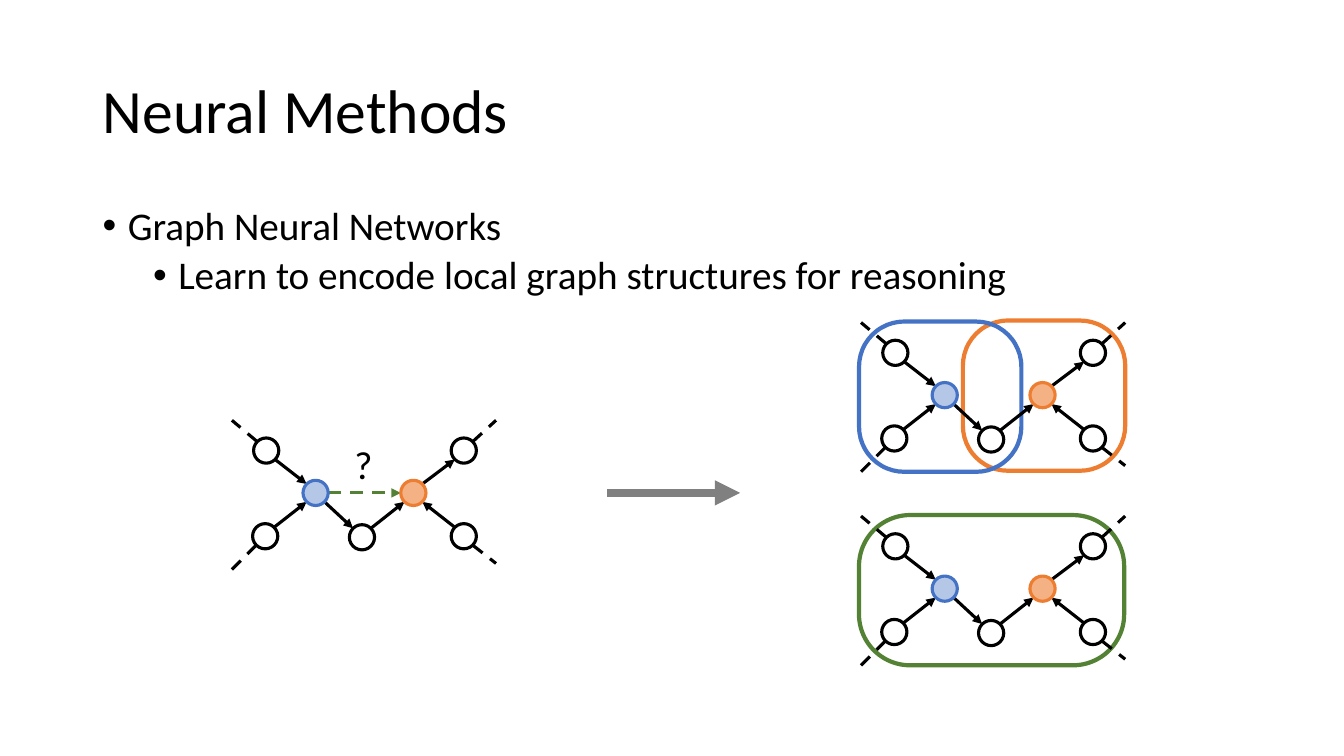
"""Build a slide on graph neural networks with three small graph diagrams."""
import math

import pptx
import pptx.dml.color
import pptx.enum.dml
import pptx.enum.shapes
import pptx.enum.text
import pptx.oxml.ns
import pptx.util
from lxml import etree

Inches = pptx.util.Inches
SHAPES = pptx.enum.shapes.MSO_SHAPE
ALIGN = pptx.enum.text.PP_ALIGN
ANCHOR = pptx.enum.text.MSO_ANCHOR

BLACK, WHITE, GREY = "000000", "FFFFFF", "808080"
BLUE, ORANGE, GREEN = "4472C4", "ED7D31", "548235"
PALE_BLUE, PALE_ORANGE = "B4C7E7", "F4B183"

RADIUS = 0.125
NODES = {
    "upper left": (-0.49, -0.42, WHITE, BLACK),
    "lower left": (-0.5, 0.43, WHITE, BLACK),
    "middle": (0.46, 0.44, WHITE, BLACK),
    "upper right": (1.47, -0.42, WHITE, BLACK),
    "lower right": (1.47, 0.43, WHITE, BLACK),
    "head": (0, 0, PALE_BLUE, BLUE),
    "tail": (0.97, 0, PALE_ORANGE, ORANGE),
}
EDGES = [
    ("upper left", "head"),
    ("lower left", "head"),
    ("head", "middle"),
    ("middle", "tail"),
    ("tail", "upper right"),
    ("lower right", "tail"),
]
LOOSE_ENDS = {
    "upper left": (-0.83, -0.72),
    "lower left": (-0.83, 0.76),
    "upper right": (1.79, -0.72),
    "lower right": (1.79, 0.7),
}


def color(hex_string):
    """Turn a hex string into a colour."""
    return pptx.dml.color.RGBColor.from_string(hex_string)


def rim_offset(start, end):
    """Return the offset from a node's centre to its rim in one of eight directions."""
    signs = [(b > a) - (b < a) for a, b in zip(start, end)]
    length = math.hypot(*signs)
    return [RADIUS * sign / length for sign in signs]


class GraphSlide:
    """Hold the text style and the slide, and draw each kind of element."""

    font = "Calibri"
    graph_line = 2.25

    def __init__(self, slide):
        """Keep the slide to draw on."""
        self.slide = slide

    def text(self, box, lines, size, anchor=ANCHOR.TOP, align=ALIGN.LEFT, spacing=1.0):
        """Add a wrapped text box and return its paragraphs."""
        frame = self.slide.shapes.add_textbox(*map(Inches, box)).text_frame
        frame.word_wrap = True
        frame.vertical_anchor = anchor
        frame.text = "\n".join(lines)
        for paragraph in frame.paragraphs:
            paragraph.alignment = align
            paragraph.line_spacing = spacing
            font = paragraph.runs[0].font
            font.name = self.font
            font.size = pptx.util.Pt(size)
            font.color.rgb = color(BLACK)
        return frame.paragraphs

    def bullets(self, box, lines, size):
        """Add a bulleted list whose lines each sit one level deeper."""
        for level, paragraph in enumerate(self.text(box, lines, size, spacing=0.9)):
            paragraph.level = level
            paragraph.space_before = pptx.util.Pt(5 if level else 10)
            properties = paragraph._p.get_or_add_pPr()
            properties.set("marL", str(Inches(0.25 + 0.5 * level)))
            properties.set("indent", str(Inches(-0.25)))
            ns = pptx.oxml.ns.qn
            etree.SubElement(properties, ns("a:buFont")).set("typeface", "Arial")
            etree.SubElement(properties, ns("a:buChar")).set("char", "•")

    def outline(self, kind, box, line, width, fill=None):
        """Add a preset shape with a coloured outline."""
        shape = self.slide.shapes.add_shape(kind, *map(Inches, box))
        shape.shadow.inherit = False
        if fill:
            shape.fill.solid()
            shape.fill.fore_color.rgb = color(fill)
        else:
            shape.fill.background()
        shape.line.color.rgb = color(line)
        shape.line.width = pptx.util.Pt(width)
        return shape

    def frame(self, box, line, rounding):
        """Add a rounded frame around a neighbourhood."""
        self.outline(SHAPES.ROUNDED_RECTANGLE, box, line, 3).adjustments[0] = rounding

    def line(self, start, end, line=BLACK, width=graph_line, dashed=False, arrow=True):
        """Add a straight line, dashed or with an arrowhead if asked."""
        connector = self.slide.shapes.add_connector(
            pptx.enum.shapes.MSO_CONNECTOR.STRAIGHT, *map(Inches, (*start, *end)))
        connector.line.color.rgb = color(line)
        connector.line.width = pptx.util.Pt(width)
        if dashed:
            connector.line.dash_style = pptx.enum.dml.MSO_LINE.DASH
        ns = pptx.oxml.ns.qn
        if arrow:
            outline = connector.line._get_or_add_ln()
            etree.SubElement(outline, ns("a:tailEnd")).set("type", "triangle")
        etree.SubElement(connector._element.spPr, ns("a:effectLst"))

    def edge(self, start, end, **style):
        """Add an arrow from the rim of one node to the rim of another."""
        offset = rim_offset(start, end)
        self.line([a + d for a, d in zip(start, offset)],
                  [b - d for b, d in zip(end, offset)], **style)

    def graph(self, left, top, query=False):
        """Add a graph whose head node is centred on the given point."""
        centres = {name: (left + x, top + y) for name, (x, y, *_) in NODES.items()}
        for start, end in EDGES:
            self.edge(centres[start], centres[end])
        if query:
            self.edge(centres["head"], centres["tail"], line=GREEN, dashed=True)
        for name, (x, y) in LOOSE_ENDS.items():
            centre, end = centres[name], (left + x, top + y)
            rim = [a + d for a, d in zip(centre, rim_offset(centre, end))]
            if x < 0 < y:
                rim, end = end, rim
            self.line(rim, end, dashed=True, arrow=False)
        for name, (_, _, fill, line) in NODES.items():
            x, y = centres[name]
            box = (x - RADIUS, y - RADIUS, 2 * RADIUS, 2 * RADIUS)
            self.outline(SHAPES.OVAL, box, line, self.graph_line, fill)


def main():
    """Draw the slide and save it."""
    deck = pptx.Presentation()
    deck.slide_width, deck.slide_height = Inches(13.33), Inches(7.5)
    page = GraphSlide(deck.slides.add_slide(deck.slide_layouts[6]))

    page.text((0.92, 0.4, 11.5, 1.45), ["Neural Methods"], 44, ANCHOR.MIDDLE, spacing=0.9)
    page.bullets((0.92, 2, 11.5, 4.76), [
        "Graph Neural Networks",
        "Learn to encode local graph structures for reasoning",
    ], 28)

    page.frame((9.55, 3.18, 1.61, 1.49), ORANGE, 0.3)
    page.frame((8.52, 3.19, 1.61, 1.49), BLUE, 0.3)
    page.graph(9.37, 3.92)

    page.frame((8.52, 5.11, 2.63, 1.49), GREEN, 0.34)
    page.graph(9.37, 5.84)

    page.graph(3.13, 4.89, query=True)
    page.text((3.28, 4.32, 0.65, 0.57), ["?"], 28, align=ALIGN.CENTER)
    page.line((6.02, 4.89), (7.34, 4.89), GREY, 6)

    deck.save("out.pptx")


if __name__ == "__main__":
    main()
